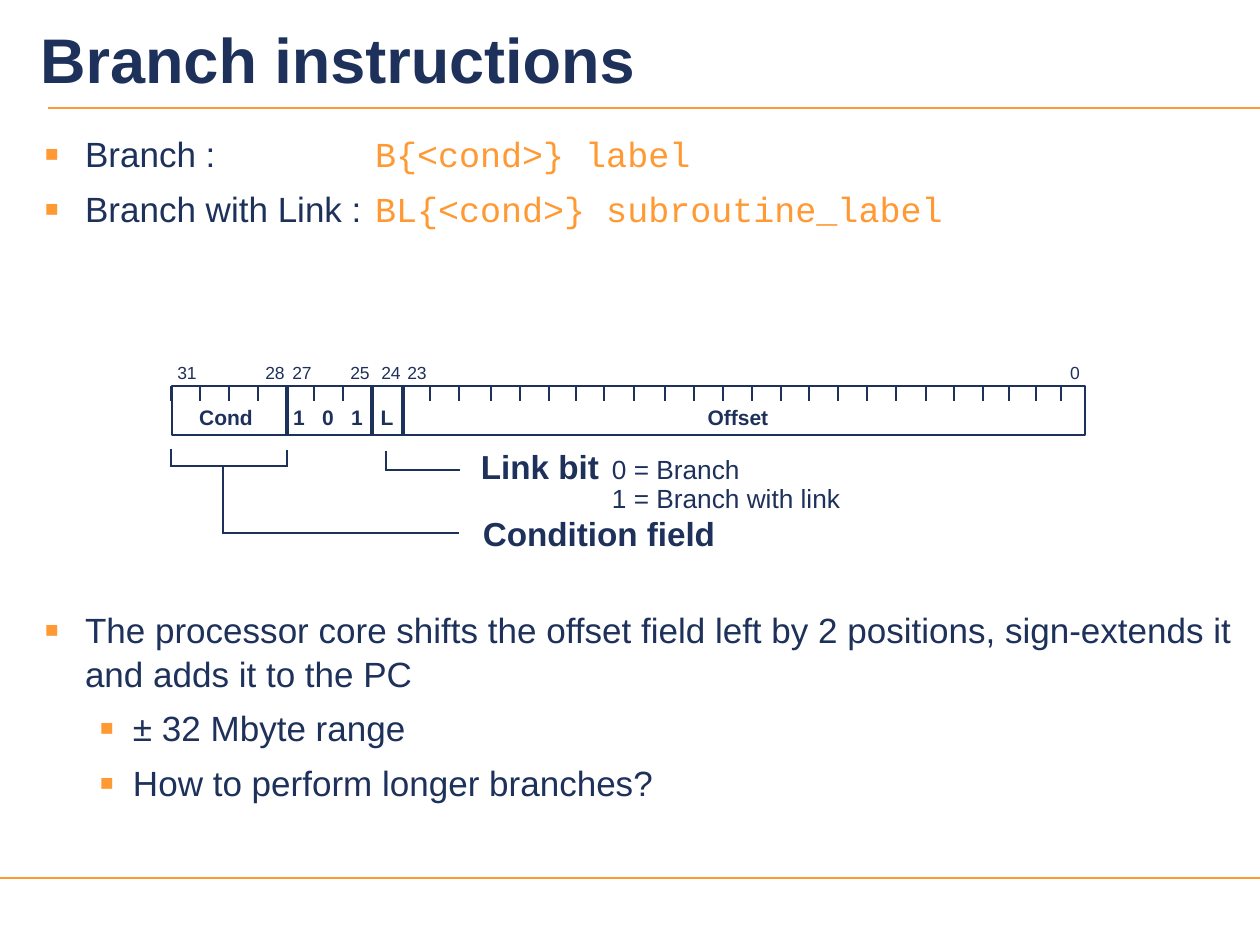
import pptx
import pptx.util
import pptx.dml.color
import pptx.enum.shapes
import pptx.enum.text
import pptx.oxml.ns
from lxml import etree

COLORS = {"navy": "1D315B", "orange": "FF9933"}
SCALE = 914400 / 126
CODE = {"font": "Courier New", "color": "orange"}
SMALL = {"size": 15, "bold": False}

TITLE = "Branch instructions"
SYNTAX = [
    [("Branch :\t", {}), ("B{<cond>} label", CODE)],
    [("Branch with Link :\t", {}), ("BL{<cond>} subroutine_label", CODE)],
]
NOTES = [
    (0, "The processor core shifts the offset field left by 2 positions, "
        "sign-extends it and adds it to the PC"),
    (1, "± 32 Mbyte range"),
    (1, "How to perform longer branches?"),
]
LINK_BIT = [
    [("Link bit\t", {}), ("0 = Branch", SMALL)],
    [("\t1 = Branch with link", SMALL)],
]
BIT_NUMBERS = [("31", 187), ("28", 275), ("27", 302), ("25", 360),
               ("24", 391), ("23", 417), ("0", 1075)]
FIELD_LABELS = [("Cond", 226), ("1", 299), ("0", 328), ("1", 357),
                ("L", 387), ("Offset", 738)]
FIELD_DIVIDERS = [287, 372, 403]
BIT_TICKS = [171, 200, 229, 258, 314, 343, 430, 459, 491, 520, 549, 576, 604,
             634, 665, 694, 723, 752, 781, 809, 838, 867, 896, 926, 954, 983,
             1009, 1036, 1061]
WORD_LEFT, WORD_TOP, WORD_WIDTH, WORD_HEIGHT = 172, 386, 913, 49
RULES = [(48, 108, 1260, 108, 1), (0, 878, 1260, 878, 1.5)]
CALLOUT_LINES = [
    (171, 449, 171, 467), (171, 466, 287, 466), (287, 467, 287, 450),
    (223, 466, 223, 533), (222, 533, 459, 533),
    (386, 451, 386, 471), (386, 470, 460, 470),
]
BULLET_INDENTS = [(41, 41), (89, 34)]


def px(value):
    return pptx.util.Emu(round(value * SCALE))


def rgb(name):
    return pptx.dml.color.RGBColor.from_string(COLORS[name])


def add_child(parent, tag, **attributes):
    return etree.SubElement(parent, pptx.oxml.ns.qn(tag), attributes)


def add_line(slide, x1, y1, x2, y2, width=1, color="navy"):
    line = slide.shapes.add_connector(
        pptx.enum.shapes.MSO_CONNECTOR.STRAIGHT, px(x1), px(y1), px(x2), px(y2))
    line.line.color.rgb = rgb(color)
    line.line.width = pptx.util.Pt(width)
    add_child(line._element.spPr, "a:effectLst")


def format_paragraph(paragraph, level, tab):
    properties = paragraph._p.get_or_add_pPr()
    if level is not None:
        left, hanging = BULLET_INDENTS[level]
        properties.set("marL", str(px(left)))
        properties.set("indent", str(-px(hanging)))
        color = add_child(properties, "a:buClr")
        add_child(color, "a:srgbClr", val=COLORS["orange"])
        add_child(properties, "a:buSzPct", val="125000")
        add_child(properties, "a:buFont", typeface="Arial")
        add_child(properties, "a:buChar", char="▪")
    if tab:
        tabs = add_child(properties, "a:tabLst")
        add_child(tabs, "a:tab", pos=str(px(tab)), algn="l")


def add_text(slide, paragraphs, left, top, width, height, *, size, bold=False,
             font="Arial", color="navy", levels=None, tab=None, spacing=None,
             before=0, align="LEFT", anchor="TOP", inset=(9, 4)):
    box = slide.shapes.add_textbox(px(left), px(top), px(width), px(height))
    frame = box.text_frame
    frame.word_wrap = True
    frame.vertical_anchor = pptx.enum.text.MSO_ANCHOR[anchor]
    frame.margin_left = frame.margin_right = px(inset[0])
    frame.margin_top = frame.margin_bottom = px(inset[1])
    for index, runs in enumerate(paragraphs):
        paragraph = frame.paragraphs[0] if index == 0 else frame.add_paragraph()
        format_paragraph(paragraph, levels[index] if levels else None, tab)
        paragraph.alignment = pptx.enum.text.PP_ALIGN[align]
        if spacing:
            paragraph.line_spacing = spacing
        if index and before:
            paragraph.space_before = pptx.util.Pt(before)
        for text, changes in runs:
            style = {"size": size, "bold": bold, "font": font,
                     "color": color, **changes}
            run = paragraph.add_run()
            run.text = text
            run.font.size = pptx.util.Pt(style["size"])
            run.font.bold = style["bold"]
            run.font.name = style["font"]
            run.font.color.rgb = rgb(style["color"])


def add_instruction_word(slide):
    word = slide.shapes.add_shape(
        pptx.enum.shapes.MSO_SHAPE.RECTANGLE,
        px(WORD_LEFT), px(WORD_TOP), px(WORD_WIDTH), px(WORD_HEIGHT))
    word.shadow.inherit = False
    word.fill.background()
    word.line.color.rgb = rgb("navy")
    word.line.width = pptx.util.Pt(1)
    for x in FIELD_DIVIDERS:
        add_line(slide, x, WORD_TOP, x, WORD_TOP + WORD_HEIGHT, width=2)
    for x in BIT_TICKS:
        add_line(slide, x, WORD_TOP, x, WORD_TOP + 15)
    for labels, top, width, size, bold in [(BIT_NUMBERS, 358, 38, 10, False),
                                           (FIELD_LABELS, 403, 90, 12, True)]:
        for text, center in labels:
            add_text(slide, [[(text, {})]], center - width / 2, top, width, 29,
                     size=size, bold=bold, align="CENTER", anchor="MIDDLE",
                     inset=(0, 0))


def main():
    presentation = pptx.Presentation()
    presentation.slide_width, presentation.slide_height = px(1260), px(945)
    slide = presentation.slides.add_slide(presentation.slide_layouts[6])

    for *ends, width in RULES:
        add_line(slide, *ends, width=width, color="orange")
    add_text(slide, [[(TITLE, {})]], 29, 0, 1231, 116, size=36, bold=True,
             anchor="MIDDLE", inset=(11, 5))

    body = {"size": 20, "spacing": 1.04, "before": 6.2, "inset": (11, 5)}
    add_text(slide, SYNTAX, 33, 126, 1227, 110, levels=[0, 0], tab=331, **body)
    add_text(slide, [[(text, {})] for level, text in NOTES], 33, 602, 1227, 205,
             levels=[level for level, text in NOTES], **body)

    add_instruction_word(slide)
    for ends in CALLOUT_LINES:
        add_line(slide, *ends)
    add_text(slide, LINK_BIT, 472, 447, 400, 71, size=19, bold=True,
             tab=131, spacing=0.89)
    add_text(slide, [[("Condition field", {})]], 474, 514, 270, 43, size=19,
             bold=True, spacing=0.88)

    presentation.save("out.pptx")


if __name__ == "__main__":
    main()
